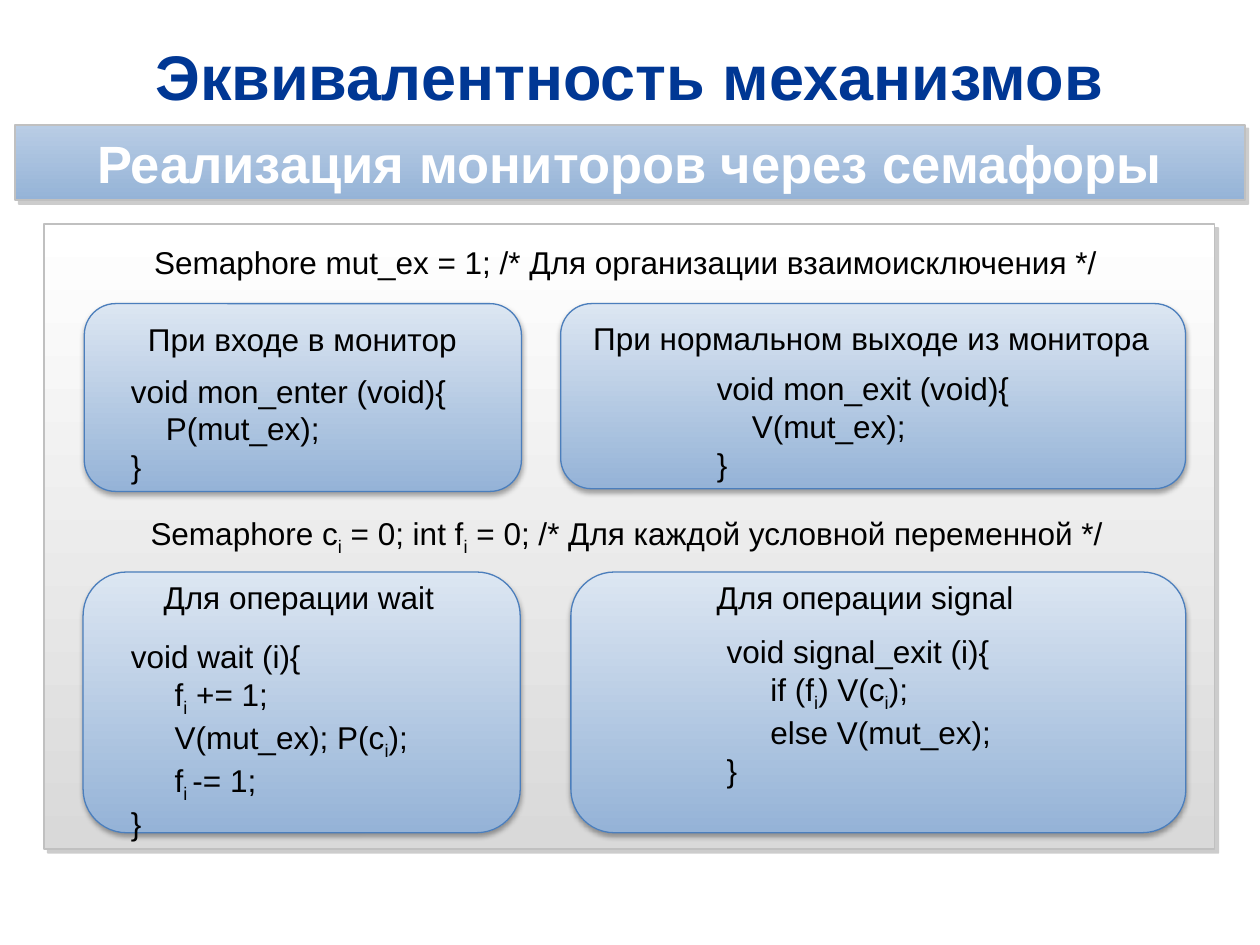
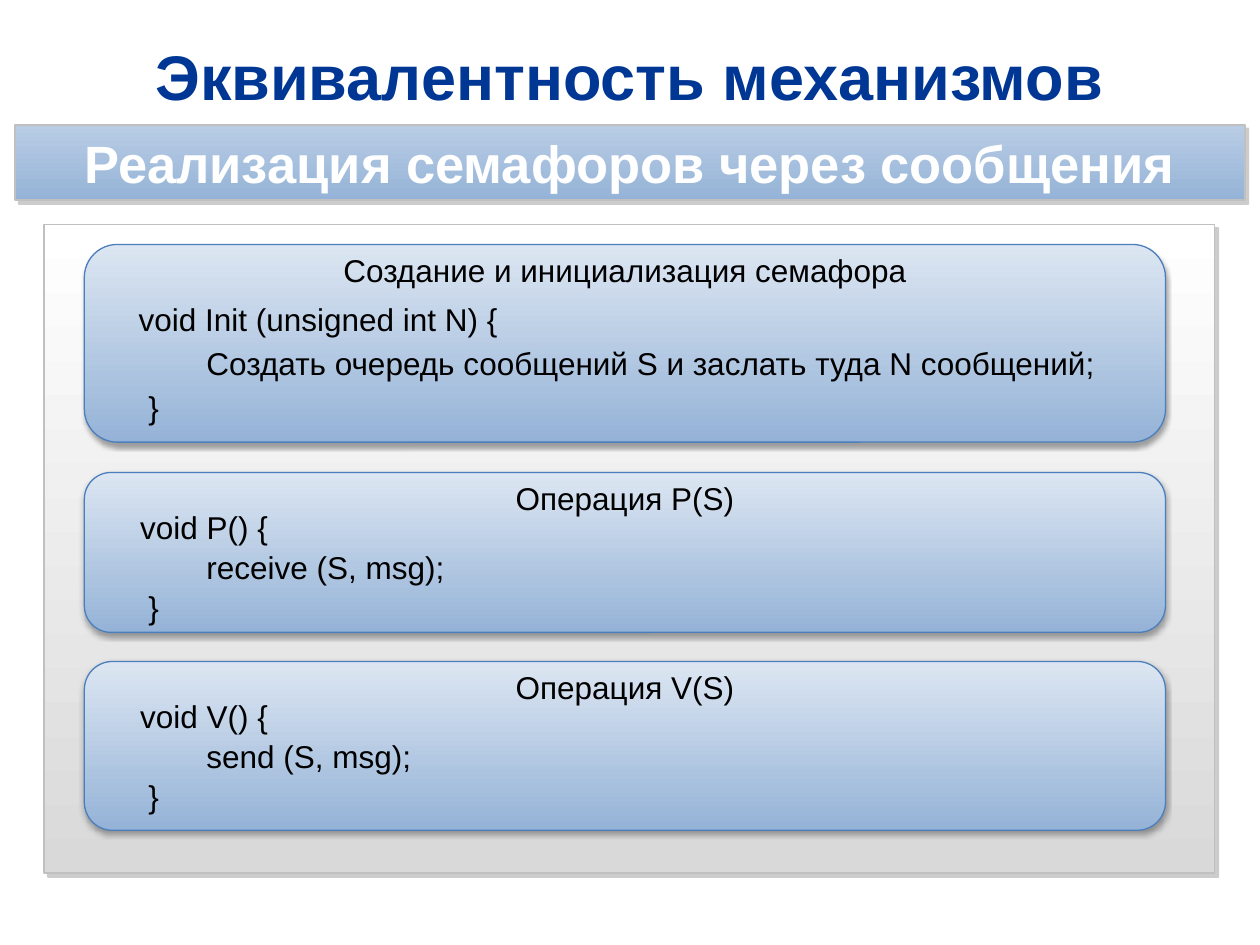
from lxml import etree
from pptx import Presentation
from pptx.dml.color import RGBColor
from pptx.enum.shapes import MSO_SHAPE
from pptx.enum.text import MSO_ANCHOR, PP_ALIGN
from pptx.oxml.ns import qn
from pptx.util import Pt

RECT, ROUNDED = MSO_SHAPE.RECTANGLE, MSO_SHAPE.ROUNDED_RECTANGLE
LEFT, CENTER = PP_ALIGN.LEFT, PP_ALIGN.CENTER
TOP, MIDDLE = MSO_ANCHOR.TOP, MSO_ANCHOR.MIDDLE

FONT = "Arial"
BLACK = RGBColor(0x00, 0x00, 0x00)
WHITE = RGBColor(0xFF, 0xFF, 0xFF)
NAVY = RGBColor(0x00, 0x37, 0x94)
GRAY = RGBColor(0x80, 0x80, 0x80)
SILVER = RGBColor(0xC0, 0xC0, 0xC0)
LIGHT_GRAY = RGBColor(0xD9, 0xD9, 0xD9)
PALE_BLUE = RGBColor(0xDC, 0xE6, 0xF2)
BAND_BLUE = RGBColor(0xB9, 0xCD, 0xE5)
MID_BLUE = RGBColor(0x95, 0xB3, 0xD7)
EDGE_BLUE = RGBColor(0x4B, 0x7E, 0xBC)

# colour, opacity %, blur, distance, angle
FLAT_SHADOW = (GRAY, 40, 0, 3, 45)
SOFT_SHADOW = (BLACK, 35, 3.1, 1.8, 90)

TITLE = "Эквивалентность механизмов"
LINE_H = 28.8
TIGHT_H = 24.5


def write(tf, text, size=18, color=BLACK, bold=False, align=LEFT,
          anchor=TOP, spacing=None, indent=0):
    """Fill a frame; |x| marks a subscript, a leading tab an indented line."""
    tf.word_wrap = True
    tf.vertical_anchor = anchor
    for n, line in enumerate(text.split("\n")):
        p = tf.add_paragraph() if n else tf.paragraphs[0]
        p.alignment = align
        if spacing:
            p.line_spacing = spacing
        if line.startswith("\t"):
            pPr = p._p.get_or_add_pPr()
            pPr.set("marL", str(Pt(indent)))
            pPr.set("indent", "0")
        for k, part in enumerate(line.lstrip("\t").split("|")):
            if not part:
                continue
            r = p.add_run()
            r.text = part
            r.font.name = FONT
            r.font.size = Pt(size)
            r.font.bold = bold
            r.font.color.rgb = color
            if k % 2:
                r.font._element.set("baseline", "-25000")


def add_text(s, x, y, w, h, text, **fmt):
    sp = s.shapes.add_textbox(Pt(x), Pt(y), Pt(w), Pt(h))
    write(sp.text_frame, text, **fmt)


def add_shadow(sp, color, opacity, blur, dist, angle):
    sp.shadow.inherit = False
    effects = sp._element.spPr.find(qn("a:effectLst"))
    shadow = etree.SubElement(effects, qn("a:outerShdw"), blurRad=str(Pt(blur)),
                              dist=str(Pt(dist)), dir=str(angle * 60000),
                              algn="tl", rotWithShape="0")
    clr = etree.SubElement(shadow, qn("a:srgbClr"), val=str(color))
    etree.SubElement(clr, qn("a:alpha"), val=str(opacity * 1000))


def add_box(s, kind, x, y, w, h, colors, edge, edge_width, shadow):
    """Add a preset shape with a top-to-bottom gradient and a shadow."""
    sp = s.shapes.add_shape(kind, Pt(x), Pt(y), Pt(w), Pt(h))
    sp.fill.gradient()
    sp.fill.gradient_angle = 270
    for stop, color in zip(sp.fill.gradient_stops, colors):
        stop.color.rgb = color
    sp.line.color.rgb = edge
    sp.line.width = Pt(edge_width)
    add_shadow(sp, *shadow)
    return sp


def add_card(s, x, y, w, h):
    add_box(s, ROUNDED, x, y, w, h, (PALE_BLUE, MID_BLUE), EDGE_BLUE, 0.75,
            SOFT_SHADOW)


def add_slide(prs, subtitle, panel_height):
    """Start a slide with the shared title, subtitle band and grey panel."""
    s = prs.slides.add_slide(prs.slide_layouts[6])
    add_box(s, RECT, 25.2, 128.2, 668.9, panel_height, (WHITE, LIGHT_GRAY),
            SILVER, 1, FLAT_SHADOW)
    add_text(s, 25.2, 18.7, 668.9, 49, TITLE, size=36, color=NAVY, bold=True,
             align=CENTER, anchor=MIDDLE)
    band = add_box(s, RECT, 8.6, 71.3, 702.7, 43.2, (BAND_BLUE, MID_BLUE),
                   SILVER, 1, FLAT_SHADOW)
    tf = band.text_frame
    tf.margin_left = tf.margin_right = Pt(17.3)
    tf.margin_top = tf.margin_bottom = Pt(2.9)
    write(tf, subtitle, size=30, color=WHITE, bold=True, align=CENTER,
          anchor=MIDDLE)
    return s


def add_operation(s, y, h, heading, opener, opener_width, action, first, step):
    """Add a wide card: a heading, then three code lines at equal steps."""
    add_card(s, 48.2, y, 617.8, h)
    add_text(s, 31, y, 652.3, LINE_H, heading, align=CENTER)
    code = [(8.6, opener_width, opener, CENTER),
            (110.9, 538.6, action, LEFT),
            (8.6, 158.4, "}", CENTER)]
    for n, (x, w, text, align) in enumerate(code):
        add_text(s, x, y + first + n * step, w, LINE_H, text, align=align)


def build_monitors(prs):
    s = add_slide(prs, "Реализация мониторов через семафоры", 357.1)
    for card in [(326.2, 326.9, 351.4, 149), (47.5, 326.9, 249.8, 149),
                 (320.4, 173.5, 357.1, 105.8), (48.2, 173.5, 249.8, 107.3)]:
        add_card(s, *card)

    add_text(s, 11.5, 139.7, 691.9, TIGHT_H,
             "Semaphore mut_ex = 1; /* Для организации взаимоисключения */",
             align=CENTER, spacing=0.8)
    add_text(s, 19.4, 292.3, 677.5, TIGHT_H,
             "Semaphore c|i| = 0; int f|i| = 0; "
             "/* Для каждой условной переменной */",
             align=CENTER, spacing=0.8)

    add_text(s, 76.3, 179.3, 193, LINE_H, "При входе в монитор", align=CENTER)
    add_text(s, 331.9, 182.9, 334.8, TIGHT_H,
             "При нормальном выходе из монитора", spacing=0.8)
    add_text(s, 86.4, 326.9, 172.8, LINE_H, "Для операции wait")
    add_text(s, 402.5, 326.9, 252, LINE_H, "Для операции signal")

    add_text(s, 67.7, 208.8, 221, 72,
             "void mon_enter (void){\n\tP(mut_ex);\n}", indent=20)
    add_text(s, 402.5, 207.4, 207.4, 72,
             "void mon_exit (void){\n\tV(mut_ex);\n}", indent=20)
    add_text(s, 67.7, 360.7, 229.7, 115.2,
             "void wait (i){\n\tf|i| += 1;\n\tV(mut_ex); P(c|i|);\n"
             "\tf|i |-= 1;\n}", indent=25)
    add_text(s, 408.2, 357.8, 203.8, 93.6,
             "void signal_exit (i){\n\tif (f|i|) V(c|i|);\n"
             "\telse V(mut_ex);\n}", indent=25)


def build_semaphores(prs):
    s = add_slide(prs, "Реализация семафоров через сообщения", 370.8)
    add_operation(s, 139.7, 113, "Создание и инициализация семафора",
                  "void Init (unsigned int N) { ", 351.4,
                  "Создать очередь сообщений S и заслать туда N сообщений;",
                  first=28, step=25.2)
    for y, h, name, action in [(270, 91.4, "P", "receive"),
                               (378, 96.5, "V", "send")]:
        add_operation(s, y, h, f"Операция {name}(S)", f"void {name}() {{ ",
                      221, f"{action} (S, msg);", first=17, step=22.7)


def main():
    prs = Presentation()
    prs.slide_width, prs.slide_height = Pt(720), Pt(540)
    build_monitors(prs)
    build_semaphores(prs)
    prs.save("out.pptx")


if __name__ == "__main__":
    main()
